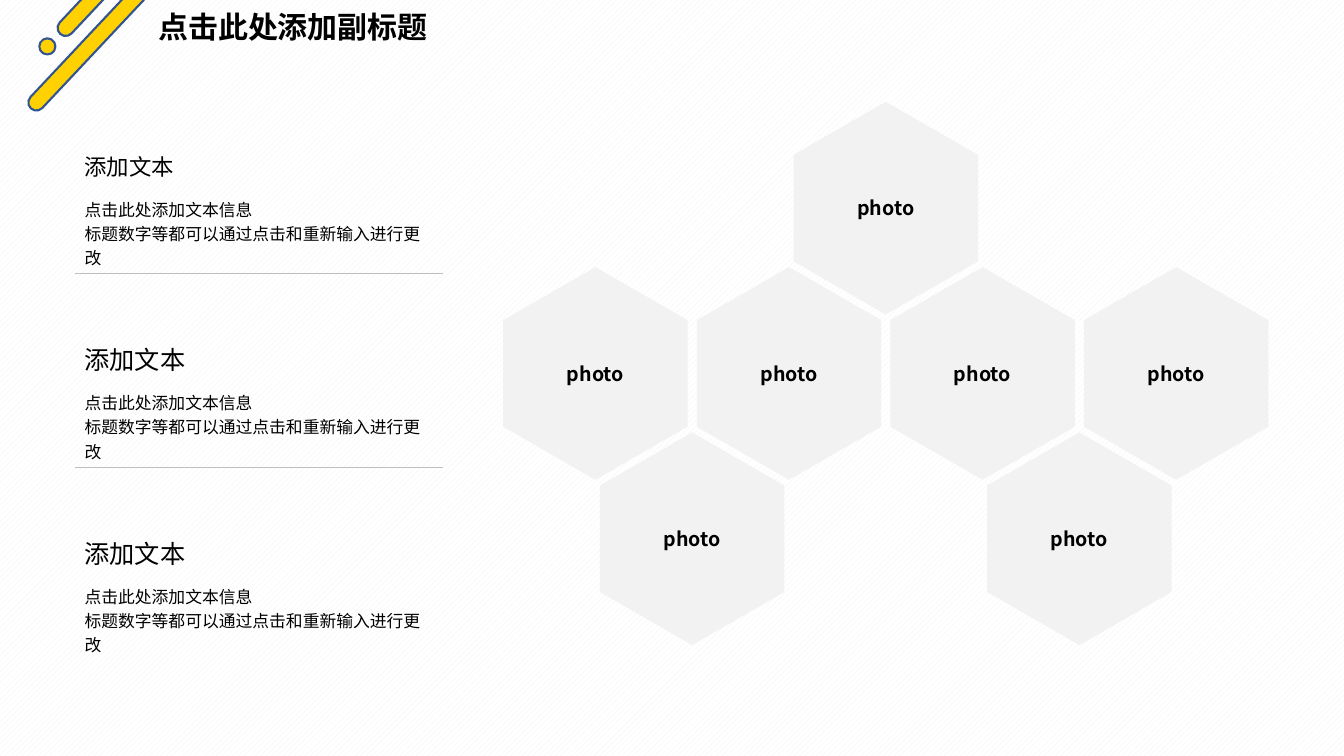
import pptx
import pptx.dml.color
import pptx.enum.dml
import pptx.enum.shapes
import pptx.enum.text
import pptx.oxml
import pptx.oxml.ns
import pptx.util
from pptx.util import Inches

# Content
TITLE = "点击此处添加副标题"
BODY = ["点击此处添加文本信息", "标题数字等都可以通过点击和重新输入进行更改"]
SECTIONS = [("添加文本", 16), ("添加文本", 18), ("添加文本", 18)]
PHOTO_LABEL = "photo"
PHOTO_CELLS = [(0, 1), (1, 2), (2, 1), (3, 0), (4, 1), (5, 2), (6, 1)]  # half column, row
STRIPES = [(-0.7, -1.33), (-0.41, -2.07)]

THEME = {
    "font": "Noto Sans CJK SC",
    "text": "000000",
    "yellow": "FFD100",
    "outline": "325491",
    "panel": "F2F2F2",
    "paper": "FFFFFF",
    "rule": "BFBFBF",
    "title_size": 21.4,
    "body_size": 12,
    "photo_size": 14,
}

# Layout in inches
SECTION_LEFT, SECTION_TOP, SECTION_WIDTH, SECTION_STEP = 0.74, 1.41, 3.65, 1.92
HEADING_HEIGHT, BODY_HEIGHT, RULE_OFFSET = 0.48, 0.84, 1.3
HEX_LEFT, HEX_TOP, HEX_LENGTH, HEX_BREADTH = 4.85, 1.15, 2.11, 1.83
HEX_HALF_STEP, HEX_ROW_STEP = 0.96, 1.64

SHAPES = pptx.enum.shapes.MSO_SHAPE
ANCHOR = pptx.enum.text.MSO_ANCHOR
ALIGN = pptx.enum.text.PP_ALIGN


def color(name):
    return pptx.dml.color.RGBColor.from_string(THEME[name])


def box(left, top, width, height):
    return [Inches(value) for value in (left, top, width, height)]


def write(frame, lines, size, bold=False, align=ALIGN.LEFT, spacing=1.0,
          anchor=ANCHOR.MIDDLE):
    frame.word_wrap = True
    frame.vertical_anchor = anchor
    for index, line in enumerate(lines):
        paragraph = frame.paragraphs[0] if index == 0 else frame.add_paragraph()
        paragraph.text = line
        paragraph.alignment = align
        paragraph.line_spacing = spacing
        font = paragraph.font
        font.name = THEME["font"]
        font.size = pptx.util.Pt(size)
        font.bold = bold
        font.color.rgb = color("text")
        # East Asian typeface
        properties = paragraph._p.xpath("a:pPr/a:defRPr")[0]
        east_asian = pptx.oxml.parse_xml(
            f'<a:ea {pptx.oxml.ns.nsdecls("a")} typeface="{THEME["font"]}"/>')
        properties.find(pptx.oxml.ns.qn("a:latin")).addnext(east_asian)


def add_shape(slide, kind, bounds, fill, rotation, outline=None):
    shape = slide.shapes.add_shape(kind, *bounds)
    shape.shadow.inherit = False
    shape.rotation = rotation
    shape.fill.solid()
    shape.fill.fore_color.rgb = color(fill)
    if outline:
        shape.line.color.rgb = color(outline)
        shape.line.width = pptx.util.Pt(1.5)
    else:
        shape.line.fill.background()
    return shape


def add_decoration(slide):
    for left, top in STRIPES:
        stripe = add_shape(slide, SHAPES.ROUNDED_RECTANGLE, box(left, top, 6.38, 0.16),
                           "yellow", 313.2, "outline")
        stripe.adjustments[0] = 0.5
    add_shape(slide, SHAPES.OVAL, box(0.39, 0.38, 0.16, 0.16), "yellow", 270, "outline")


def add_photo(slide, column, row):
    bounds = box(HEX_LEFT + column * HEX_HALF_STEP, HEX_TOP + row * HEX_ROW_STEP,
                 HEX_LENGTH, HEX_BREADTH)
    hexagon = add_shape(slide, SHAPES.HEXAGON, bounds, "panel", 90)
    hexagon.adjustments[0] = 0.288
    write(hexagon.text_frame, [PHOTO_LABEL], THEME["photo_size"], True, ALIGN.CENTER)
    # Turn the text back upright
    hexagon.text_frame._txBody.bodyPr.set("vert", "vert270")


def add_section(slide, index, heading, heading_size):
    top = SECTION_TOP + index * SECTION_STEP
    body = slide.shapes.add_textbox(
        *box(SECTION_LEFT, top + HEADING_HEIGHT, SECTION_WIDTH, BODY_HEIGHT))
    write(body.text_frame, BODY, THEME["body_size"], spacing=1.2, anchor=ANCHOR.TOP)
    title = slide.shapes.add_textbox(
        *box(SECTION_LEFT, top, SECTION_WIDTH, HEADING_HEIGHT))
    write(title.text_frame, [heading], heading_size)


def add_rule(slide, index):
    y = Inches(SECTION_TOP + index * SECTION_STEP + RULE_OFFSET)
    rule = slide.shapes.add_connector(
        pptx.enum.shapes.MSO_CONNECTOR.STRAIGHT,
        Inches(SECTION_LEFT), y, Inches(SECTION_LEFT + SECTION_WIDTH), y)
    rule.line.color.rgb = color("rule")
    rule.line.width = pptx.util.Pt(0.25)
    rule._element.spPr.append(
        pptx.oxml.parse_xml(f'<a:effectLst {pptx.oxml.ns.nsdecls("a")}/>'))


def add_title(slide):
    title = slide.shapes.title
    title.left, title.top, title.width, title.height = box(1.44, 0, 3.15, 0.5)
    frame = title.text_frame
    frame.margin_left = frame.margin_right = Inches(0.13)
    frame.margin_top = frame.margin_bottom = Inches(0.07)
    frame.auto_size = pptx.enum.text.MSO_AUTO_SIZE.SHAPE_TO_FIT_TEXT
    write(frame, [TITLE], THEME["title_size"], True, spacing=1.1)


def main():
    presentation = pptx.Presentation()
    presentation.slide_width = Inches(13.33)
    presentation.slide_height = Inches(7.5)
    slide = presentation.slides.add_slide(presentation.slide_layouts[5])

    # Background
    background = slide.background.fill
    background.patterned()
    background.pattern = pptx.enum.dml.MSO_PATTERN.WIDE_UPWARD_DIAGONAL
    background.fore_color.rgb = color("panel")
    background.back_color.rgb = color("paper")

    add_decoration(slide)
    for column, row in PHOTO_CELLS:
        add_photo(slide, column, row)
    for index, (heading, size) in enumerate(SECTIONS):
        add_section(slide, index, heading, size)
    for index in range(len(SECTIONS) - 1):
        add_rule(slide, index)
    add_title(slide)
    presentation.save("out.pptx")


if __name__ == "__main__":
    main()
